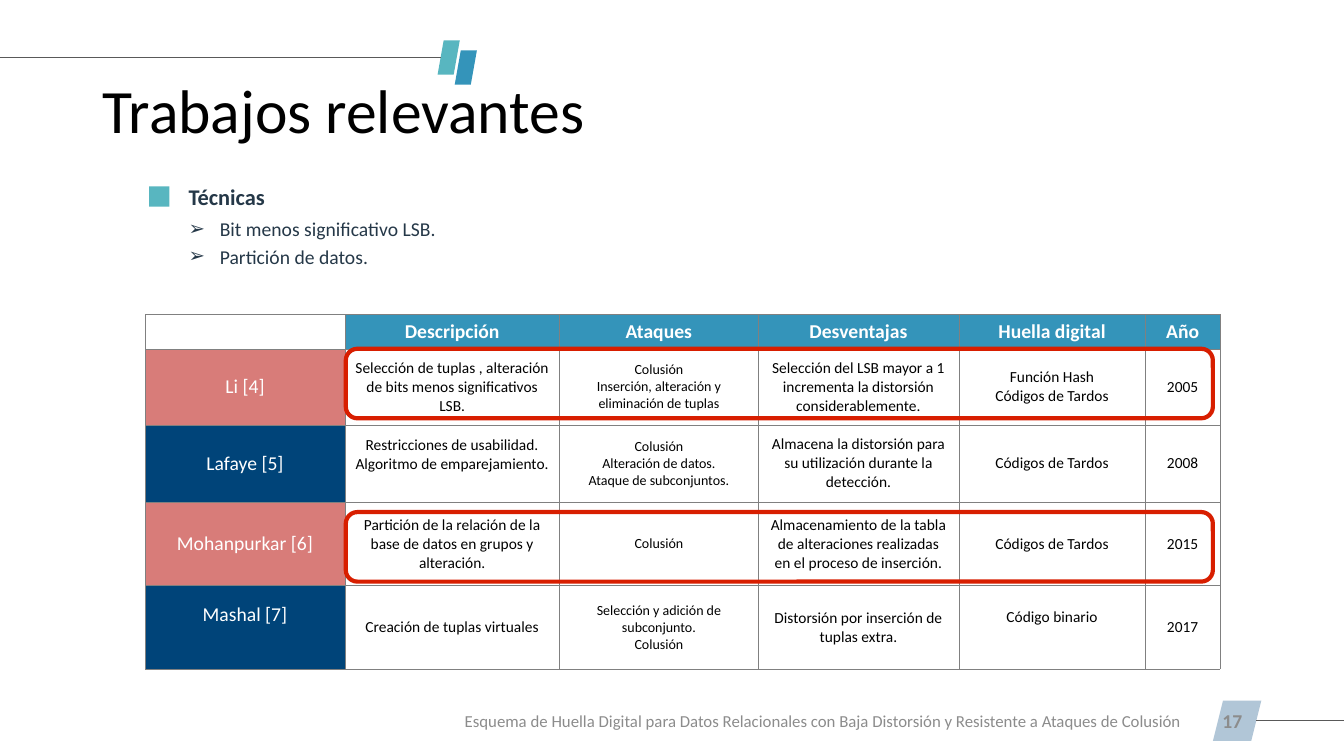
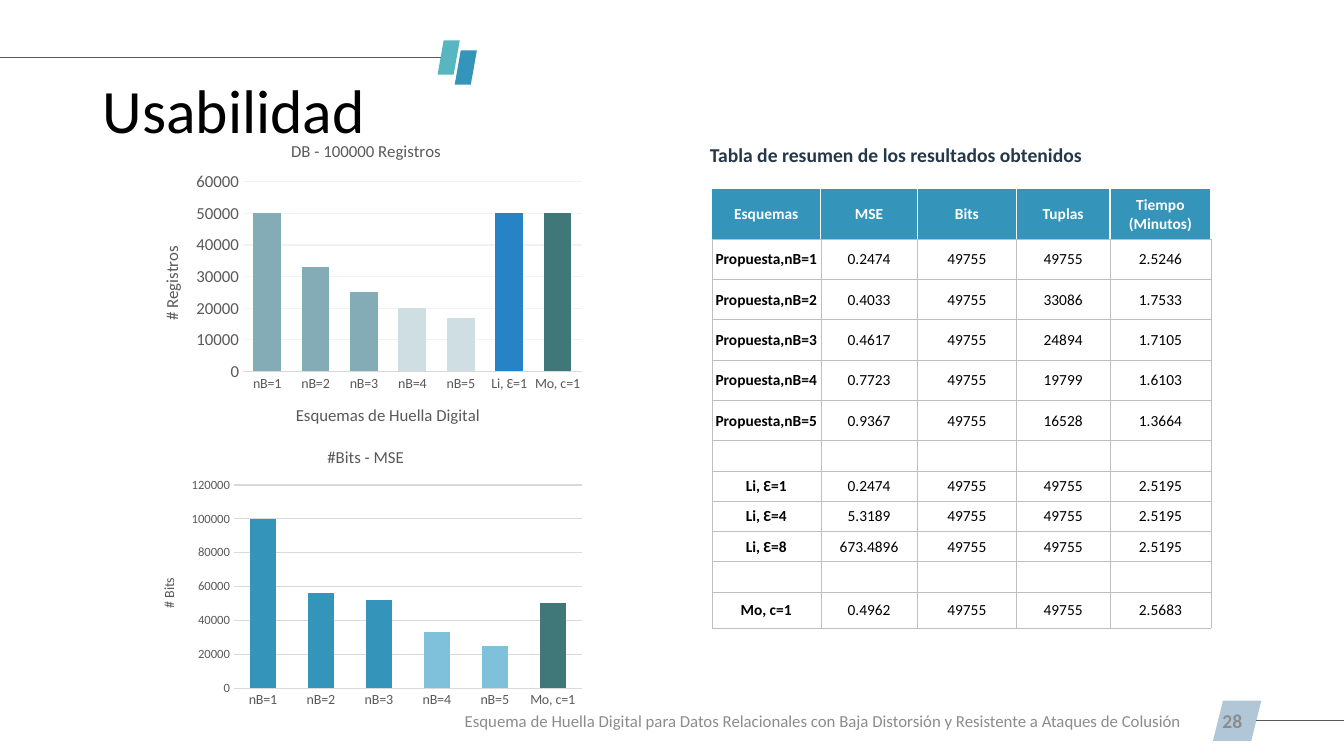
from lxml import etree
from pptx import Presentation
from pptx.chart.data import CategoryChartData
from pptx.dml.color import RGBColor
from pptx.enum import chart as charts, shapes, text
from pptx.oxml import ns
from pptx.util import Inches, Pt

FONT = "Calibri"
TEAL, BLUE, NAVY, ROSE, RED = "58B6C0", "3494BA", "004479", "D87C79", "D81E00"
WHITE, BLACK, INK, GRAY, RULE, PALE = "FFFFFF", "000000", "253848", "8C8C8C", "595959", "B1C6D7"
LEFT, CENTER, RIGHT = text.PP_ALIGN.LEFT, text.PP_ALIGN.CENTER, text.PP_ALIGN.RIGHT
MIDDLE, TOP = text.MSO_ANCHOR.MIDDLE, text.MSO_ANCHOR.TOP
rgb = RGBColor.from_string


def write(frame, lines, size, color, bold=False, align=LEFT):
    """Fill a text frame with one paragraph for each line; an empty line only gets its size."""
    for index, line in enumerate(lines):
        para = frame.paragraphs[0] if index == 0 else frame.add_paragraph()
        para.alignment = align
        if not line:
            etree.SubElement(para._p, ns.qn("a:endParaRPr")).set("sz", str(size * 100))
            continue
        span = para.add_run()
        span.text = line
        span.font.name, span.font.size, span.font.bold = FONT, Pt(size), bold
        span.font.color.rgb = rgb(color)


def add_text(page, place, lines, size, color, bold=False, align=LEFT, anchor=MIDDLE, inset=True):
    box = page.shapes.add_textbox(*map(Inches, place))
    frame = box.text_frame
    frame.word_wrap = True
    frame.vertical_anchor = anchor
    if not inset:
        frame.margin_left = frame.margin_right = frame.margin_top = frame.margin_bottom = 0
    write(frame, lines, size, color, bold, align)
    return frame


deck = Presentation()
deck.slide_width, deck.slide_height = Inches(13.33), Inches(7.5)

# Title, marks, rules and footer of every slide
pages = []
for title, number in [("Trabajos relevantes", "17"), ("Usabilidad", "28")]:
    page = deck.slides.add_slide(deck.slide_layouts[6])
    pages.append(page)
    for left, top, width, height, slant, color in [
        (12.03, 6.95, 0.48, 0.4, 0.25, PALE),
        (4.34, 0.4, 0.22, 0.34, 0.275, TEAL),
        (4.51, 0.5, 0.22, 0.34, 0.275, BLUE),
    ]:
        mark = page.shapes.add_shape(
            shapes.MSO_SHAPE.PARALLELOGRAM, Inches(left), Inches(top), Inches(width), Inches(height))
        mark.adjustments[0] = slant
        mark.shadow.inherit = False
        mark.fill.solid()
        mark.fill.fore_color.rgb = rgb(color)
        mark.line.fill.background()
    for start, end, y in [(0, 4.37, 0.57), (12.46, 13.33, 7.15)]:
        rule = page.shapes.add_connector(
            shapes.MSO_CONNECTOR.STRAIGHT, Inches(start), Inches(y), Inches(end), Inches(y))
        rule.line.color.rgb = rgb(RULE)
        rule.line.width = Pt(1)
        etree.SubElement(rule._element.spPr, ns.qn("a:effectLst"))
    heading = add_text(page, (0.92, 0.4, 11.5, 1.45), [title], 44, BLACK)
    heading.paragraphs[0].line_spacing = 0.9
    add_text(page, (9.42, 6.95, 3, 0.4), [number], 14, GRAY, True, RIGHT)
    add_text(page, (4.51, 6.95, 7.51, 0.4),
             ["Esquema de Huella Digital para Datos Relacionales con Baja Distorsión"
              " y Resistente a Ataques de Colusión"], 12, GRAY)
works, usability = pages

# Techniques list
square = works.shapes.add_shape(
    shapes.MSO_SHAPE.RECTANGLE, Inches(1.48), Inches(1.85), Inches(0.2), Inches(0.2))
square.shadow.inherit = False
square.fill.solid()
square.fill.fore_color.rgb = rgb(TEAL)
square.line.fill.background()
add_text(works, (1.87, 1.82, 4.48, 0.27), ["Técnicas"], 16, INK, True, anchor=TOP, inset=False)
techniques = add_text(works, (1.87, 2.15, 4.48, 0.51),
                      ["Bit menos significativo LSB.", "Partición de datos."],
                      14, INK, anchor=TOP, inset=False)
for index, para in enumerate(techniques.paragraphs):
    if index:
        para.space_before = Pt(3)
    props = para._p.get_or_add_pPr()
    props.set("marL", str(Inches(0.31)))
    props.set("indent", str(-Inches(0.31)))
    etree.SubElement(props, ns.qn("a:buFont")).set("typeface", FONT)
    etree.SubElement(props, ns.qn("a:buChar")).set("char", "➢")

# Both tables: a line break in a cell starts a new paragraph
work_rows = [
    ["", "Descripción", "Ataques", "Desventajas", "Huella digital", "Año"],
    ["Li [4]", "Selección de tuplas , alteración de bits menos significativos LSB.",
     "Colusión\nInserción, alteración y eliminación de tuplas",
     "Selección del LSB mayor a 1 incrementa la distorsión considerablemente.",
     "Función Hash\nCódigos de Tardos", "2005"],
    ["Lafaye [5]", "Restricciones de usabilidad.\nAlgoritmo de emparejamiento.",
     "Colusión\nAlteración de datos.\nAtaque de subconjuntos.",
     "Almacena la distorsión para su utilización durante la detección.",
     "Códigos de Tardos", "2008"],
    ["Mohanpurkar [6]", "Partición de la relación de la base de datos en grupos y alteración.",
     "Colusión", "Almacenamiento de la tabla de alteraciones realizadas en el proceso de inserción.",
     "Códigos de Tardos", "2015"],
    ["Mashal [7]", "Creación de tuplas virtuales", "Selección y adición de subconjunto.\nColusión",
     "Distorsión por inserción de tuplas extra.", "Código binario", "2017"],
]
result_rows = [
    ["Esquemas", "MSE", "Bits", "Tuplas", "Tiempo\n(Minutos)"],
    ["Propuesta,nB=1", "0.2474", "49755", "49755", "2.5246"],
    ["Propuesta,nB=2", "0.4033", "49755", "33086", "1.7533"],
    ["Propuesta,nB=3", "0.4617", "49755", "24894", "1.7105"],
    ["Propuesta,nB=4", "0.7723", "49755", "19799", "1.6103"],
    ["Propuesta,nB=5", "0.9367", "49755", "16528", "1.3664"],
    [""] * 5,
    ["Li, Ɛ=1", "0.2474", "49755", "49755", "2.5195"],
    ["Li, Ɛ=4", "5.3189", "49755", "49755", "2.5195"],
    ["Li, Ɛ=8", "673.4896", "49755", "49755", "2.5195"],
    [""] * 5,
    ["Mo, c=1", "0.4962", "49755", "49755", "2.5683"],
]
raised = {(2, 1): 0.23, (4, 0): 0.31, (4, 4): 0.25}  # bottom margins that lift the text
for page, left, top, widths, heights, rows, grid in [
    (works, 1.44, 3.12, [1.98, 2.13, 1.97, 1.99, 1.85, 0.74],
     [0.34, 0.76, 0.76, 0.83, 0.83], work_rows, "808080"),
    (usability, 7.06, 1.87, [1.08, 0.96, 0.98, 0.93, 1],
     [0.5] + [0.4] * 5 + [0.3] * 5 + [0.36], result_rows, "BFBFBF"),
]:
    table = page.shapes.add_table(len(rows), len(widths), Inches(left), Inches(top),
                                  Inches(sum(widths)), Inches(sum(heights))).table
    for column, width in zip(table.columns, widths):
        column.width = Inches(width)
    for row, height in zip(table.rows, heights):
        row.height = Inches(height)
    for r, values in enumerate(rows):
        for c, value in enumerate(values):
            cell = table.cell(r, c)
            header, name = r == 0, c == 0
            fill = BLUE if header else WHITE
            size, color, bold = 11, WHITE if header else BLACK, header
            if page is works:
                if header:
                    size, fill = 14, WHITE if name else BLUE
                elif name:
                    size, color, fill = 14, WHITE, ROSE if r % 2 else NAVY
                elif c == 2:
                    size = 10
                cell.margin_bottom = Inches(raised.get((r, c), 0.05))
            else:
                bold = header or name
                cell.margin_left = cell.margin_right = cell.margin_top = Inches(0.01)
                cell.margin_bottom = 0
            cell.vertical_anchor = MIDDLE
            write(cell.text_frame, value.split("\n"), size, color, bold, CENTER)
            props = cell._tc.get_or_add_tcPr()
            for side in "LRTB":
                white_edge = page is usability and header and side != "B"
                edge = etree.SubElement(props, ns.qn("a:ln" + side))
                edge.set("w", str(Pt(1 if white_edge else 0.25)))
                solid = etree.SubElement(edge, ns.qn("a:solidFill"))
                etree.SubElement(solid, ns.qn("a:srgbClr")).set("val", WHITE if white_edge else grid)
            cell.fill.solid()
            cell.fill.fore_color.rgb = rgb(fill)

# Frames around the highlighted works
for top in (3.46, 5.08):
    frame = works.shapes.add_shape(
        shapes.MSO_SHAPE.ROUNDED_RECTANGLE, Inches(3.43), Inches(top), Inches(8.6), Inches(0.69))
    frame.shadow.inherit = False
    frame.fill.background()
    frame.line.color.rgb = rgb(RED)
    frame.line.width = Pt(3)

# Results: caption and two column charts
add_text(usability, (7.04, 1.42, 4.48, 0.24), ["Tabla de resumen de los resultados obtenidos"],
         14, INK, True, anchor=TOP, inset=False)
schemes = ["nB=1", "nB=2", "nB=3", "nB=4", "nB=5"]
column_charts = [
    dict(top=1.23, height=3.19, gap=75, grid="F2F2F2", value_size=12,
         categories=schemes + ["Li, Ɛ=1", "Mo, c=1"],
         values=[50000, 33000, 25000, 20000, 17000, 50000, 50000],
         colors=["84ACB6"] * 3 + ["CEDEE2"] * 2 + ["2683C6", "407879"],
         plot=(0.23, 0.18, 0.75, 0.59),
         title=("DB - 100000 Registros", 12, 0.33, 0.04),
         value_title=("# Registros", 12, 0.04, 0.37),
         category_title=("Esquemas de Huella Digital", 12, 0.34, 0.86)),
    dict(top=4.28, height=2.8, gap=123, grid="D9D9D9", value_size=9,
         categories=schemes + ["Mo, c=1"],
         values=[100000, 56000, 52000, 33000, 25000, 50000],
         colors=[BLUE] * 3 + ["7FC1DB"] * 2 + ["407879"],
         plot=(0.21, 0.19, 0.77, 0.72),
         title=("#Bits - MSE", 12, 0.41, 0.04),
         value_title=("# Bits", 10, 0.04, 0.51),
         category_title=None),
]
for design in column_charts:
    data = CategoryChartData()
    data.categories = design["categories"]
    data.add_series("Series 1", design["values"])
    chart = usability.shapes.add_chart(
        charts.XL_CHART_TYPE.COLUMN_CLUSTERED, Inches(1.38), Inches(design["top"]),
        Inches(4.48), Inches(design["height"]), data).chart
    chart.has_legend = False
    chart.font.name, chart.font.size = FONT, Pt(10)
    chart.font.color.rgb = rgb(RULE)

    bars = chart.plots[0]
    bars.gap_width, bars.overlap, bars.vary_by_categories = design["gap"], -27, False
    series = bars.series[0]
    series.format.fill.solid()
    series.format.fill.fore_color.rgb = rgb(BLUE)
    for index, color in enumerate(design["colors"]):
        fill = series.points[index].format.fill
        fill.solid()
        fill.fore_color.rgb = rgb(color)

    category_axis, value_axis = chart.category_axis, chart.value_axis
    for axis, size in [(category_axis, 10), (value_axis, design["value_size"])]:
        axis.major_tick_mark = axis.minor_tick_mark = charts.XL_TICK_MARK.NONE
        axis.tick_labels.font.name, axis.tick_labels.font.size = FONT, Pt(size)
        axis.tick_labels.font.color.rgb = rgb(RULE)
    category_axis.format.line.color.rgb = rgb("D9D9D9")
    category_axis.format.line.width = Pt(0.75)
    value_axis.format.line.fill.background()
    value_axis.major_gridlines.format.line.color.rgb = rgb(design["grid"])
    value_axis.major_gridlines.format.line.width = Pt(0.75)

    plot_area = chart._chartSpace.chart.plotArea
    placed = [(plot_area, design["plot"])]
    for owner, key in [(chart, "title"), (value_axis, "value_title"), (category_axis, "category_title")]:
        if not design[key]:
            continue
        words, size, x, y = design[key]
        title = chart.chart_title if owner is chart else owner.axis_title
        write(title.text_frame, [words], size, RULE, align=CENTER)
        if owner is value_axis:
            title.text_frame._txBody.bodyPr.set("rot", "-5400000")
            title.text_frame._txBody.bodyPr.set("vert", "horz")
        placed.append((title._element, (x, y)))
    for element, place in placed:
        layout = element.find(ns.qn("c:layout"))
        if layout is None:
            layout = etree.Element(ns.qn("c:layout"))
            element.insert(0 if element is plot_area else 1, layout)
        manual = etree.SubElement(layout, ns.qn("c:manualLayout"))
        settings = [("xMode", "edge"), ("yMode", "edge"), *zip("xywh", place)]
        if element is plot_area:
            settings.insert(0, ("layoutTarget", "inner"))
        for tag, value in settings:
            etree.SubElement(manual, ns.qn("c:" + tag)).set("val", str(value))

deck.save("out.pptx")
